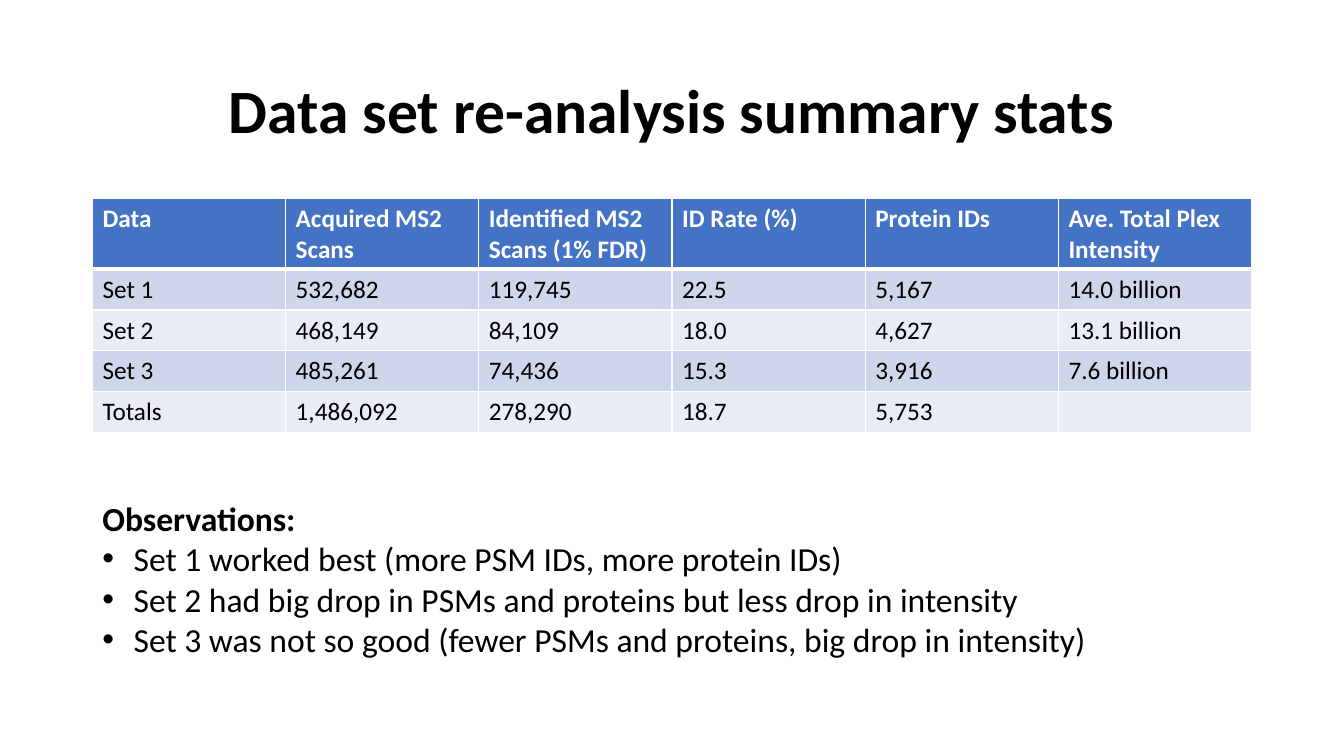
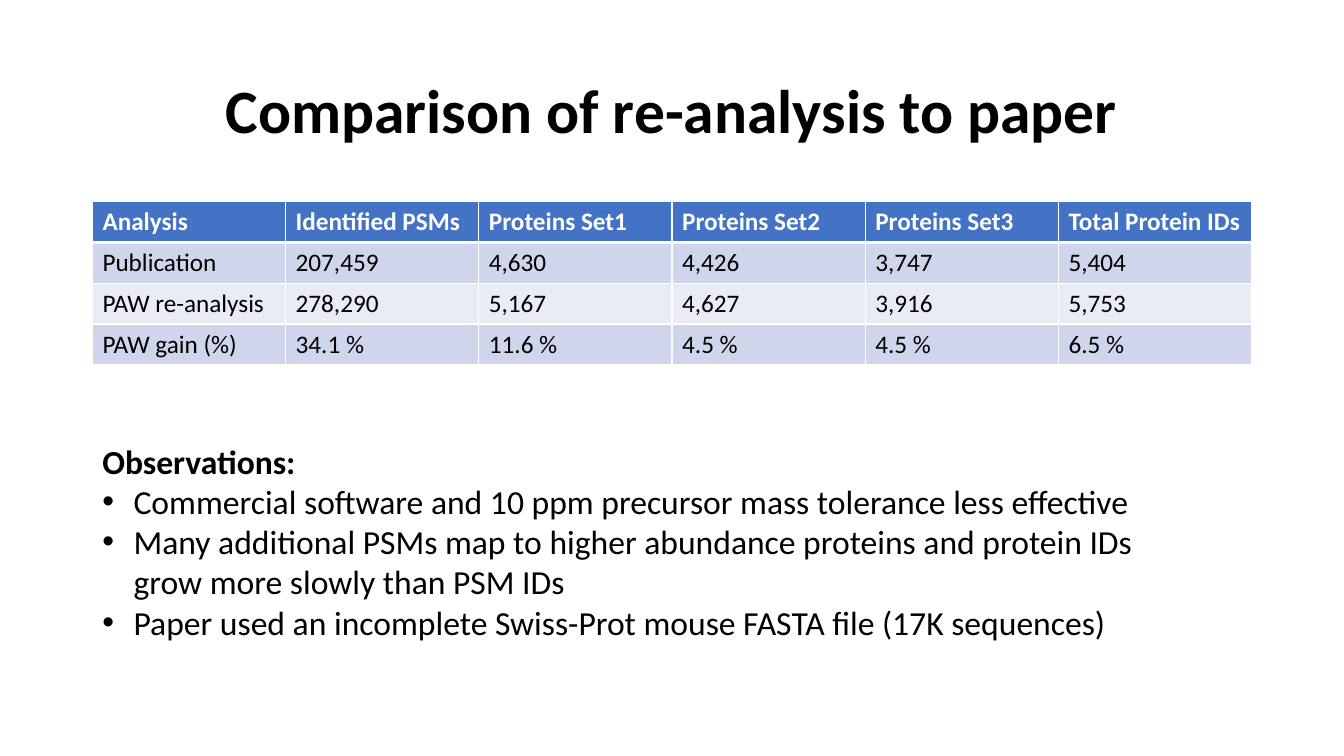
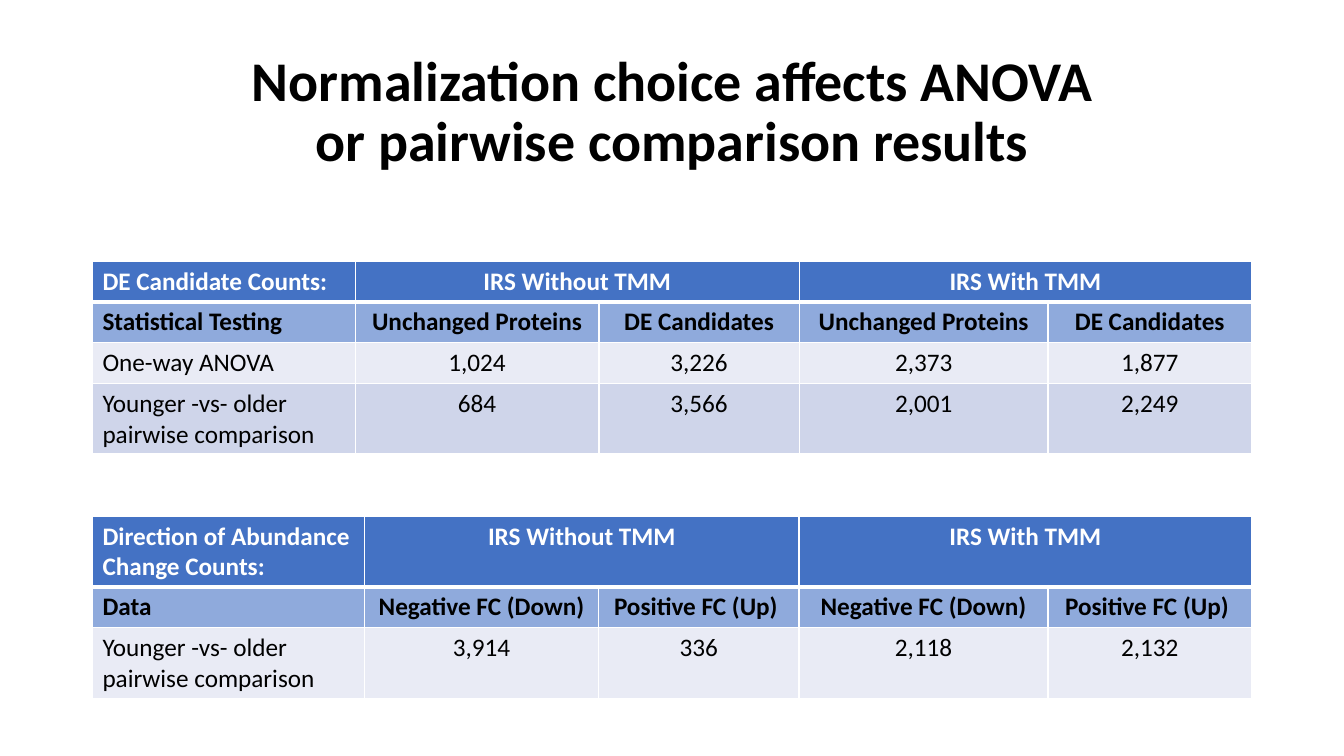
from lxml import etree
from pptx import Presentation
from pptx import util as u
from pptx.dml.color import RGBColor
from pptx.enum import text
from pptx.oxml import ns

COLORS = {"ink": "000000", "white": "FFFFFF", "head": "4472C4",
          "subhead": "8FAADC", "odd": "CFD5EA", "even": "E9EBF5"}
FONT = "Calibri"
LEFT, WIDTH = 6.88, 86.25      # shared content column, in % of slide width
ROW, TALL_ROW = 5.4, 9.33      # one- and two-line table rows, in % of height


def rgb(name):
    return RGBColor.from_string(COLORS[name])


def write(p, words, size=18, bold=False, color="ink", align=None, spacing=None):
    """Fill a paragraph and format its runs."""
    p.text = words
    p.alignment = align
    p.line_spacing = spacing
    for r in p.runs:
        r.font.name, r.font.size, r.font.bold = FONT, u.Pt(size), bold
        r.font.color.rgb = rgb(color)


class Deck:
    def __init__(self):
        self.prs = Presentation()
        self.prs.slide_width, self.prs.slide_height = u.Inches(13.33), u.Inches(7.5)
        self.s = None

    def x(self, share):
        return round(self.prs.slide_width * share / 100)

    def y(self, share):
        return round(self.prs.slide_height * share / 100)

    def slide(self, title, size=44):
        self.s = self.prs.slides.add_slide(self.prs.slide_layouts[6])
        tf = self.box(5.33, WIDTH, 19.33)
        tf.vertical_anchor = text.MSO_ANCHOR.MIDDLE
        write(tf.paragraphs[0], title, size=size, bold=True,
              align=text.PP_ALIGN.CENTER, spacing=0.9)

    def box(self, top, width, height):
        sp = self.s.shapes.add_textbox(self.x(LEFT), self.y(top),
                                       self.x(width), self.y(height))
        sp.text_frame.word_wrap = True
        return sp.text_frame

    def observations(self, top, width, height, items):
        tf = self.box(top, width, height)
        write(tf.paragraphs[0], "Observations:", size=24, bold=True)
        for item in items:
            p = tf.add_paragraph()
            self.bullet(p)
            write(p, item, size=24)

    def bullet(self, p):
        pPr = p._p.get_or_add_pPr()
        indent = u.Inches(0.31)
        pPr.set("marL", str(indent))
        pPr.set("indent", str(-indent))
        etree.SubElement(pPr, ns.qn("a:buFont")).set("typeface", "Arial")
        etree.SubElement(pPr, ns.qn("a:buChar")).set("char", "•")

    def table(self, top, rows, weights=None, tall=(), grouped=False):
        """Draw a table; grouped adds paired headings and a subheading row."""
        weights = weights or [1] * len(rows[0])
        heights = [TALL_ROW if i in tall else ROW for i in range(len(rows))]
        tbl = self.s.shapes.add_table(
            len(rows), len(weights), self.x(LEFT), self.y(top),
            self.x(WIDTH), self.y(sum(heights))).table
        for col, weight in zip(tbl.columns, weights):
            col.width = self.x(WIDTH * weight / sum(weights))
        for i, (row, height) in enumerate(zip(rows, heights)):
            tbl.rows[i].height = self.y(height)
            sub = grouped and i == 1
            fill = ("head" if i == 0 else "subhead" if sub
                    else "odd" if i % 2 else "even")
            for j, words in enumerate(row):
                cell = tbl.cell(i, j)
                self.borders(cell, top=3 if i == 1 else 1, bottom=1 if i else 3)
                cell.fill.solid()
                cell.fill.fore_color.rgb = rgb(fill)
                write(cell.text_frame.paragraphs[0], words,
                      bold=i == 0 or sub, color="ink" if i else "white",
                      align=text.PP_ALIGN.CENTER if grouped and j else None)
        if grouped:
            for j in range(1, len(weights), 2):
                tbl.cell(0, j).merge(tbl.cell(0, j + 1))

    def borders(self, cell, top, bottom):
        tcPr = cell._tc.get_or_add_tcPr()
        for side, width in zip("LRTB", (1, 1, top, bottom)):
            ln = etree.SubElement(tcPr, ns.qn("a:ln" + side), w=str(u.Pt(width)))
            fill = etree.SubElement(ln, ns.qn("a:solidFill"))
            etree.SubElement(fill, ns.qn("a:srgbClr"), val=COLORS["white"])


def main():
    deck = Deck()

    # Summary of the three sets
    deck.slide("Data set re-analysis summary stats")
    deck.table(26.27, [
        ["Data", "Acquired MS2 Scans", "Identified MS2 Scans (1% FDR)",
         "ID Rate (%)", "Protein IDs", "Ave. Total Plex Intensity"],
        ["Set 1", "532,682", "119,745", "22.5", "5,167", "14.0 billion"],
        ["Set 2", "468,149", "84,109", "18.0", "4,627", "13.1 billion"],
        ["Set 3", "485,261", "74,436", "15.3", "3,916", "7.6 billion"],
        ["Totals", "1,486,092", "278,290", "18.7", "5,753", ""],
    ], tall=[0])
    deck.observations(65.2, 78.83, 22.93, [
        "Set 1 worked best (more PSM IDs, more protein IDs)",
        "Set 2 had big drop in PSMs and proteins but less drop in intensity",
        "Set 3 was not so good (fewer PSMs and proteins, big drop in intensity)",
    ])

    # Re-analysis against the publication
    deck.slide("Comparison of re-analysis to paper")
    deck.table(26.67, [
        ["Analysis", "Identified PSMs", "Proteins Set1", "Proteins Set2",
         "Proteins Set3", "Total Protein IDs"],
        ["Publication", "207,459", "4,630", "4,426", "3,747", "5,404"],
        ["PAW re-analysis", "278,290", "5,167", "4,627", "3,916", "5,753"],
        ["PAW gain (%)", "34.1 %", "11.6 %", "4.5 %", "4.5 %", "6.5 %"],
    ])
    deck.observations(57.6, 78.83, 28.27, [
        "Commercial software and 10 ppm precursor mass tolerance less effective",
        "Many additional PSMs map to higher abundance proteins and protein IDs "
        "grow more slowly than PSM IDs",
        "Paper used an incomplete Swiss-Prot mouse FASTA file (17K sequences)",
    ])

    # Effect of normalization
    groups = ["IRS Without TMM", "", "IRS With TMM", ""]
    pairwise = "Younger -vs- older pairwise comparison"
    deck.slide("Normalization choice affects ANOVA\vor pairwise comparison results",
               size=40)
    deck.table(34.53, [
        ["DE Candidate Counts:"] + groups,
        ["Statistical Testing"] + ["Unchanged Proteins", "DE Candidates"] * 2,
        ["One-way ANOVA", "1,024", "3,226", "2,373", "1,877"],
        [pairwise, "684", "3,566", "2,001", "2,249"],
    ], weights=[2.61, 2.42, 1.99, 2.47, 2.02], tall=[3], grouped=True)
    deck.table(68.27, [
        ["Direction of Abundance Change Counts:"] + groups,
        ["Data"] + ["Negative FC (Down)", "Positive FC (Up) "] * 2,
        [pairwise, "3,914", "336", "2,118", "2,132"],
    ], weights=[2.7, 2.32, 1.99, 2.47, 2.02], tall=[0, 2], grouped=True)

    deck.prs.save("out.pptx")


if __name__ == "__main__":
    main()
